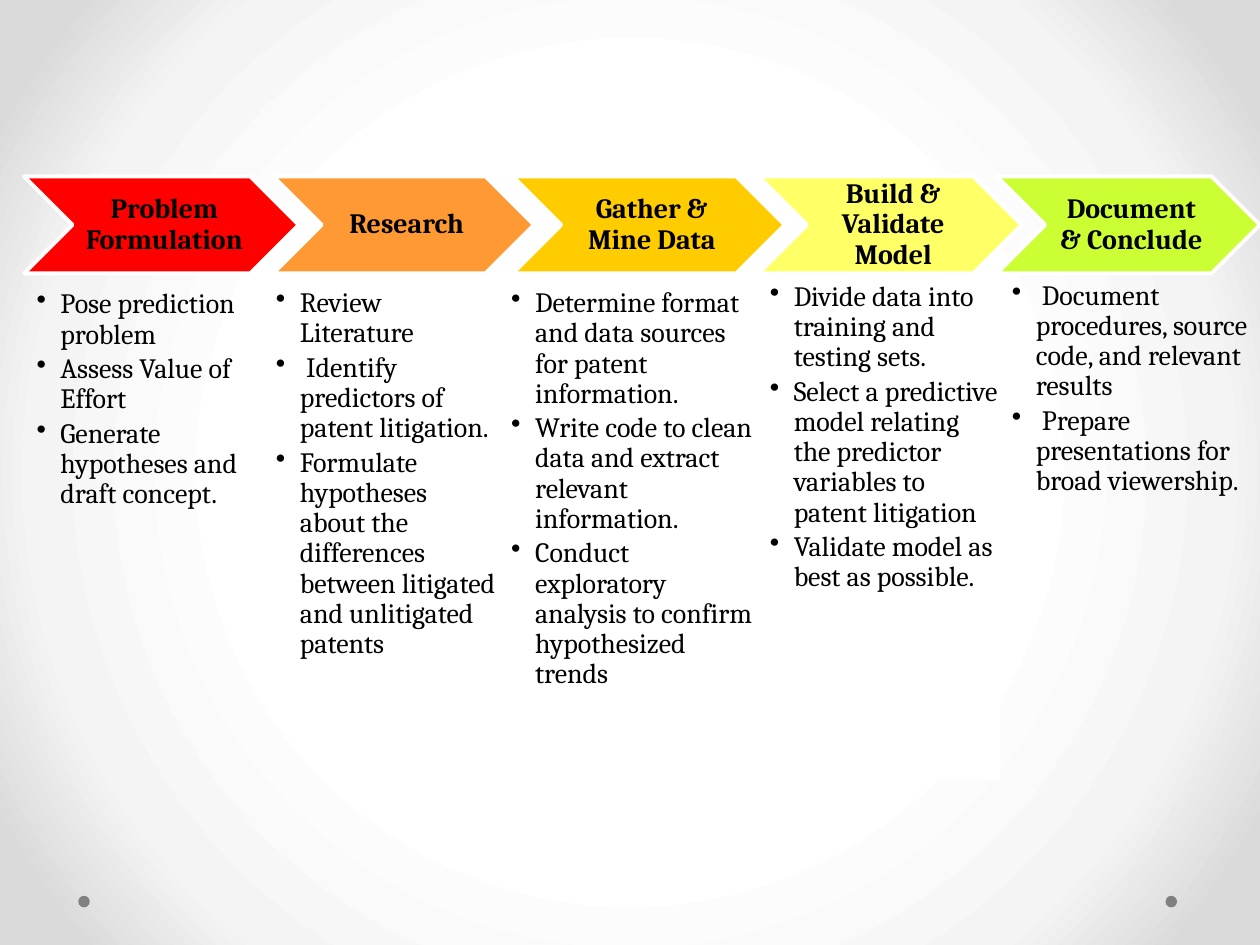
import pptx
import pptx.util
import pptx.oxml
import pptx.oxml.ns
import pptx.dml.color
import pptx.enum.shapes
import pptx.enum.text

Pt = pptx.util.Pt
RGBColor = pptx.dml.color.RGBColor
MSO_SHAPE = pptx.enum.shapes.MSO_SHAPE
PP_ALIGN = pptx.enum.text.PP_ALIGN
MSO_ANCHOR = pptx.enum.text.MSO_ANCHOR

BLACK = RGBColor(0x00, 0x00, 0x00)
WHITE = RGBColor(0xFF, 0xFF, 0xFF)
LIGHT_GRAY = RGBColor(0xF4, 0xF4, 0xF4)
EDGE_GRAY = RGBColor(0xDA, 0xDA, 0xDA)
DOT_GRAY = RGBColor(0x80, 0x80, 0x80)
RED = RGBColor(0xFF, 0x00, 0x00)
ORANGE = RGBColor(0xFF, 0x99, 0x33)
GOLD = RGBColor(0xFF, 0xCC, 0x00)
YELLOW = RGBColor(0xFF, 0xFF, 0x66)
LIME = RGBColor(0xCC, 0xFF, 0x33)

CHEVRON_TOP, CHEVRON_HEIGHT = 100.8, 55.44
BODY_HEIGHT = 284.4
DOT_TOP, DOT_SIZE = 511.9, 6.6

# (heading, colour, chevron left and width, body left, top and width, body fill, bullets)
STEPS = [
    ("Problem Formulation", RED, (13.7, 157), (20.9, 165.6, 124.6), None,
     ["Pose prediction problem", "Assess Value of Effort",
      "Generate hypotheses and draft concept."]),
    ("Research", ORANGE, (156.2, 149), (157.7, 164.9, 126), None,
     ["Review Literature", " Identify predictors of patent litigation.",
      "Formulate hypotheses about the differences between litigated and "
      "unlitigated patents"]),
    ("Gather & Mine Data", GOLD, (293, 155.5), (292.1, 164.9, 138.2), None,
     ["Determine format and data sources for patent information.",
      "Write code to clean data and extract relevant information.",
      "Conduct exploratory analysis to confirm hypothesized trends"]),
    ("Build & Validate Model", YELLOW, (433.4, 150.5), (439.9, 161.3, 131.8), WHITE,
     ["Divide data into training and testing sets.",
      "Select a predictive model relating the predictor variables to patent litigation",
      "Validate model as best as possible."]),
    ("Document & Conclude", LIME, (569.5, 150.5), (578.2, 160.6, 135.4), None,
     [" Document procedures, source code, and relevant results",
      " Prepare presentations for broad viewership."]),
]


class ProcessSlide:
    """Draws the elements of a process slide in one shared style."""

    font_name = "Cambria"
    font_size = 16
    line_spacing = 0.9
    bullet_indent = 13.7
    bullet_gap = 2.4

    def __init__(self, slide):
        self.slide = slide

    def background(self, stops):
        """Fill the background with a circular gradient."""
        stop_xml = "".join(
            f'<a:gs pos="{position * 1000}"><a:srgbClr val="{color}"/></a:gs>'
            for position, color in stops)
        fill = pptx.oxml.parse_xml(
            f'<a:gradFill {pptx.oxml.ns.nsdecls("a")} rotWithShape="1">'
            f'<a:gsLst>{stop_xml}</a:gsLst><a:path path="circle">'
            '<a:fillToRect l="50000" t="50000" r="50000" b="50000"/>'
            '</a:path></a:gradFill>')
        self.slide.background.fill.solid()
        properties = self.slide.element.cSld.find(".//" + pptx.oxml.ns.qn("p:bgPr"))
        properties.replace(properties[0], fill)

    def shape(self, kind, left, top, width, height, color):
        """Add a plain filled shape."""
        shape = self.slide.shapes.add_shape(
            kind, Pt(left), Pt(top), Pt(width), Pt(height))
        shape.shadow.inherit = False
        shape.fill.solid()
        shape.fill.fore_color.rgb = color
        shape.line.fill.background()
        return shape

    def margins(self, text_frame, left, others):
        """Set the insets of a wrapping text frame."""
        text_frame.word_wrap = True
        text_frame.margin_left = Pt(left)
        text_frame.margin_top = text_frame.margin_right = Pt(others)
        text_frame.margin_bottom = Pt(others)

    def format(self, paragraph, bold=False):
        """Apply the shared text style to a paragraph."""
        paragraph.line_spacing = self.line_spacing
        for run in paragraph.runs:
            run.font.name = self.font_name
            run.font.size = Pt(self.font_size)
            run.font.bold = bold
            run.font.color.rgb = BLACK

    def chevron(self, text, color, left, width):
        """Add a step heading."""
        shape = self.shape(MSO_SHAPE.CHEVRON, left, CHEVRON_TOP, width,
                           CHEVRON_HEIGHT, color)
        shape.line.color.rgb = WHITE
        shape.line.width = Pt(2.25)
        text_frame = shape.text_frame
        self.margins(text_frame, 5, 1.5)
        text_frame.vertical_anchor = MSO_ANCHOR.MIDDLE
        text_frame.text = text
        paragraph = text_frame.paragraphs[0]
        paragraph.alignment = PP_ALIGN.CENTER
        self.format(paragraph, bold=True)

    def bullets(self, items, left, top, width, color=None):
        """Add a bulleted list, on a filled box if a colour is given."""
        box = self.slide.shapes.add_textbox(
            Pt(left), Pt(top), Pt(width), Pt(BODY_HEIGHT))
        if color is not None:
            box.fill.solid()
            box.fill.fore_color.rgb = color
        text_frame = box.text_frame
        self.margins(text_frame, 0, 0)
        text_frame.text = "\n".join(items)
        for paragraph in text_frame.paragraphs:
            self.format(paragraph)
            paragraph.space_after = Pt(self.bullet_gap)
            properties = paragraph._p.get_or_add_pPr()
            properties.set("marL", str(Pt(self.bullet_indent)))
            properties.set("indent", str(-Pt(self.bullet_indent)))
            properties.append(pptx.oxml.parse_xml(
                f'<a:buChar {pptx.oxml.ns.nsdecls("a")} char="•"/>'))


presentation = pptx.Presentation()
presentation.slide_width = Pt(720)
presentation.slide_height = Pt(540)
process = ProcessSlide(presentation.slides.add_slide(presentation.slide_layouts[6]))

process.background([(50, WHITE), (76, LIGHT_GRAY), (92, EDGE_GRAY)])
for dot_left in (666, 44.7):
    process.shape(MSO_SHAPE.OVAL, dot_left, DOT_TOP, DOT_SIZE, DOT_SIZE, DOT_GRAY)
for heading, color, chevron_span, body_place, body_fill, items in STEPS:
    process.chevron(heading, color, *chevron_span)
    process.bullets(items, *body_place, color=body_fill)

presentation.save("out.pptx")
